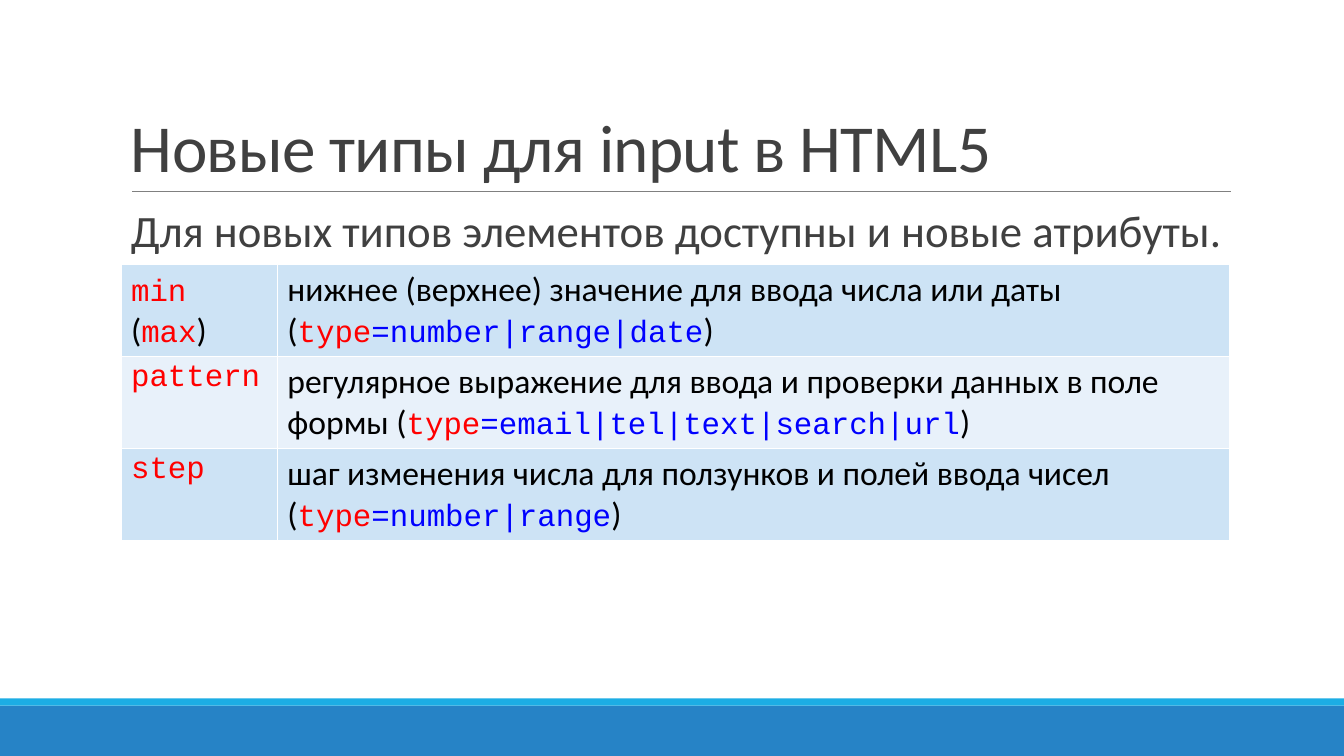
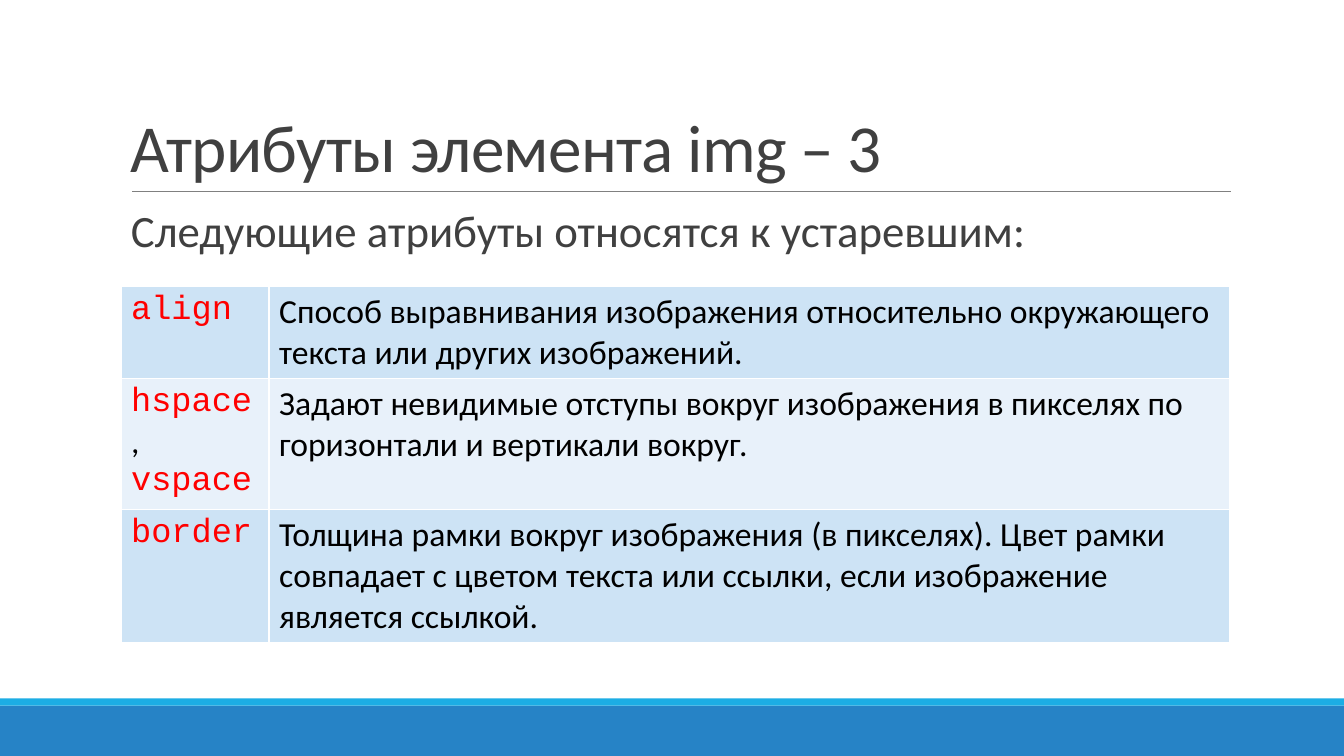
from lxml import etree
from pptx import Presentation
from pptx.dml.color import RGBColor
from pptx.enum.shapes import MSO_CONNECTOR, MSO_SHAPE
from pptx.enum.text import MSO_ANCHOR
from pptx.oxml.ns import qn
from pptx.util import Cm, Pt

RECTANGLE = MSO_SHAPE.RECTANGLE
STRAIGHT = MSO_CONNECTOR.STRAIGHT
BOTTOM, TOP = MSO_ANCHOR.BOTTOM, MSO_ANCHOR.TOP

BLUE = RGBColor(0x26, 0x83, 0xC6)
CYAN = RGBColor(0x1C, 0xAD, 0xE4)
GRAY = RGBColor(0x80, 0x80, 0x80)
DARK = RGBColor(0x40, 0x40, 0x40)
BLACK = RGBColor(0, 0, 0)
WHITE = RGBColor(0xFF, 0xFF, 0xFF)
NAME_RED = RGBColor(0xFF, 0, 0)
VALUE_BLUE = RGBColor(0, 0, 0xFF)
ROW_FILLS = (RGBColor(0xCD, 0xE3, 0xF5), RGBColor(0xE8, 0xF1, 0xFA))

TEXT_FONT, CODE_FONT = "Calibri", "Courier New"
# Run styles of table text: font, colour
STYLES = {
    "text": (TEXT_FONT, BLACK),
    "name": (CODE_FONT, NAME_RED),
    "value": (CODE_FONT, VALUE_BLUE),
}


def described(text, values):
    """Runs of a description that ends with the allowed input types."""
    return [("text", text + " ("), ("name", "type"),
            ("value", "=" + values), ("text", ")")]


# Content: each table row is an attribute cell and a description cell
SLIDES = [
    {
        "title": "Новые типы для input в HTML5",
        "lead": "Для новых типов элементов доступны и новые атрибуты.",
        "top": 6.66, "name_width": 3.94, "code_size": 22,
        "row_heights": (2.32, 2.32, 2.32),
        "rows": [
            ([("name", "min"), ("text", " ("), ("name", "max"), ("text", ")")],
             described("нижнее (верхнее) значение для ввода числа или даты",
                       "number|range|date")),
            ([("name", "pattern")],
             described("регулярное выражение для ввода и проверки данных "
                       "в поле формы", "email|tel|text|search|url")),
            ([("name", "step")],
             described("шаг изменения числа для ползунков и полей ввода чисел",
                       "number|range")),
        ],
    },
    {
        "title": "Атрибуты элемента img – 3",
        "lead": "Следующие атрибуты относятся к устаревшим:",
        "top": 7.21, "name_width": 3.73, "code_size": 24,
        "row_heights": (2.32, 3.2, 3.35),
        "rows": [
            ([("name", "align")],
             [("text", "Способ выравнивания изображения относительно "
                       "окружающего текста или других изображений.")]),
            ([("name", "hspace"), ("text", ", "), ("name", "vspace")],
             [("text", "Задают невидимые отступы вокруг изображения в "
                       "пикселях по горизонтали и вертикали вокруг.")]),
            ([("name", "border")],
             [("text", "Толщина рамки вокруг изображения (в пикселях). Цвет "
                       "рамки совпадает с цветом текста или ссылки, если "
                       "изображение является ссылкой.")]),
        ],
    },
]

# Shared geometry
SLIDE_W, SLIDE_H = Cm(33.87), Cm(19.05)
LEFT, CONTENT_W = Cm(3.05), Cm(27.94)
FOOTER_H, STRIPE_H = Cm(1.27), Cm(0.18)
RULE_LEFT, RULE_RIGHT, RULE_Y = Cm(3.33), Cm(31.01), Cm(4.83)
TITLE_TOP, LEAD_TOP, LEAD_H = Cm(0.79), Cm(5.13), Cm(1.5)


def add_run(paragraph, text, font, size, color):
    run = paragraph.add_run()
    run.text = text
    run.font.name, run.font.size = font, Pt(size)
    run.font.color.rgb = color
    return run


def add_band(slide, top, height, color):
    band = slide.shapes.add_shape(RECTANGLE, 0, top, SLIDE_W, height)
    band.shadow.inherit = False
    band.fill.solid()
    band.fill.fore_color.rgb = color
    band.line.fill.background()


def add_frame(slide):
    """Footer bands and the rule under the title."""
    footer_top = SLIDE_H - FOOTER_H
    add_band(slide, footer_top, FOOTER_H, BLUE)
    add_band(slide, footer_top - STRIPE_H, STRIPE_H, CYAN)
    rule = slide.shapes.add_connector(STRAIGHT, RULE_LEFT, RULE_Y,
                                      RULE_RIGHT, RULE_Y)
    rule.line.color.rgb = GRAY
    rule.line.width = Pt(0.5)
    etree.SubElement(rule._element.spPr, qn("a:effectLst"))


def add_heading(slide, text, top, height, size, spacing, anchor):
    box = slide.shapes.add_textbox(LEFT, top, CONTENT_W, height)
    frame = box.text_frame
    frame.word_wrap = True
    frame.vertical_anchor = anchor
    paragraph = frame.paragraphs[0]
    paragraph.line_spacing = spacing
    return frame, add_run(paragraph, text, TEXT_FONT, size, DARK)


def add_title(slide, text):
    _, run = add_heading(slide, text, TITLE_TOP, RULE_Y - TITLE_TOP,
                         48, 0.85, BOTTOM)
    run.font._element.set("spc", "-50")


def add_lead(slide, text):
    frame, _ = add_heading(slide, text, LEAD_TOP, LEAD_H, 32, 0.9, TOP)
    frame.margin_left, frame.margin_right = Cm(0.25), 0


def add_borders(cell):
    properties = cell._tc.get_or_add_tcPr()
    for side in ("a:lnL", "a:lnR", "a:lnT", "a:lnB"):
        border = etree.SubElement(properties, qn(side), w=str(Pt(1)))
        fill = etree.SubElement(border, qn("a:solidFill"))
        etree.SubElement(fill, qn("a:srgbClr"), val=str(WHITE))


def fill_cell(cell, runs, color, code_size):
    add_borders(cell)
    cell.fill.solid()
    cell.fill.fore_color.rgb = color
    paragraph = cell.text_frame.paragraphs[0]
    for style, text in runs:
        font, text_color = STYLES[style]
        size = code_size if font == CODE_FONT else 24
        add_run(paragraph, text, font, size, text_color)


def add_attributes(slide, content):
    heights = [Cm(height) for height in content["row_heights"]]
    table = slide.shapes.add_table(len(heights), 2, LEFT, Cm(content["top"]),
                                   CONTENT_W, sum(heights)).table
    table.first_row = table.horz_banding = False
    name_width = Cm(content["name_width"])
    table.columns[0].width = name_width
    table.columns[1].width = CONTENT_W - name_width
    for r, (height, cells) in enumerate(zip(heights, content["rows"])):
        table.rows[r].height = height
        for c, runs in enumerate(cells):
            fill_cell(table.cell(r, c), runs, ROW_FILLS[r % 2],
                      content["code_size"])


def main():
    deck = Presentation()
    deck.slide_width, deck.slide_height = SLIDE_W, SLIDE_H
    for content in SLIDES:
        slide = deck.slides.add_slide(deck.slide_layouts[6])
        add_frame(slide)
        add_title(slide, content["title"])
        add_lead(slide, content["lead"])
        add_attributes(slide, content)
    deck.save("out.pptx")


if __name__ == "__main__":
    main()
